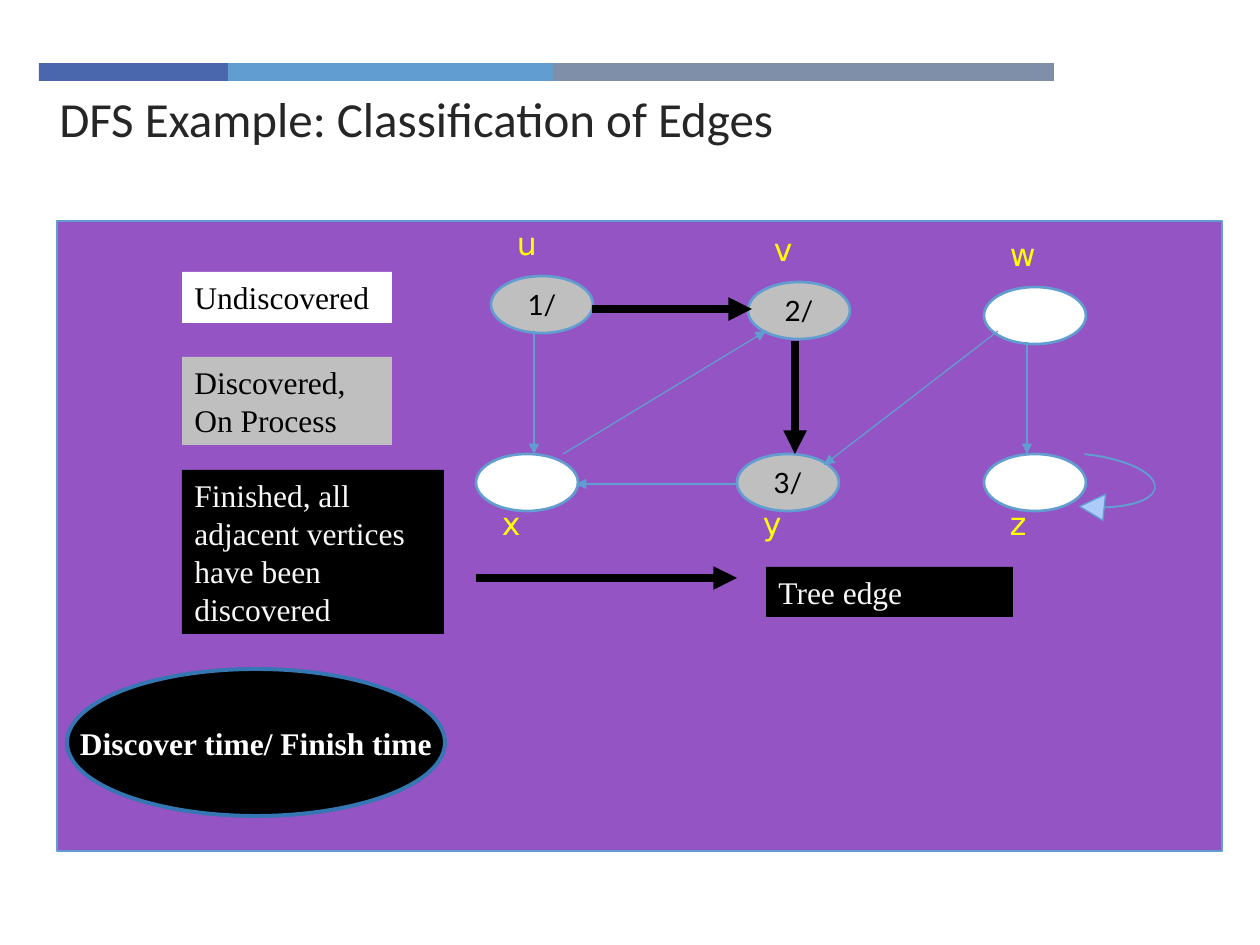
from lxml import etree
from pptx import Presentation
from pptx.dml.color import RGBColor
from pptx.enum.shapes import MSO_CONNECTOR, MSO_SHAPE
from pptx.enum.text import MSO_ANCHOR, PP_ALIGN
from pptx.oxml.ns import qn
from pptx.util import Inches, Pt

RECTANGLE = MSO_SHAPE.RECTANGLE
ELLIPSE = MSO_SHAPE.OVAL
LOOP_ARROW = MSO_SHAPE.CURVED_DOWN_ARROW
STRAIGHT = MSO_CONNECTOR.STRAIGHT
TOP, MIDDLE = MSO_ANCHOR.TOP, MSO_ANCHOR.MIDDLE
LEFT, CENTER = PP_ALIGN.LEFT, PP_ALIGN.CENTER

PIXELS_PER_INCH = 126
BLACK, WHITE, GRAY = "000000", "FFFFFF", "BFBFBF"
BLUE, PURPLE, YELLOW = "629DD1", "9454C3", "FFFF00"
SERIF = "Times New Roman"


def px(length):
    return round(length * Inches(1) / PIXELS_PER_INCH)


def color(value):
    return RGBColor.from_string(value)


class Page:
    node_width, node_height = 102, 57

    def __init__(self, deck):
        self.shapes = deck.slides.add_slide(deck.slide_layouts[6]).shapes

    def shape(self, kind, left, top, width, height, fill, line=None, weight=0.75):
        box = self.shapes.add_shape(kind, px(left), px(top), px(width), px(height))
        box.shadow.inherit = False
        box.fill.solid()
        box.fill.fore_color.rgb = color(fill)
        if line:
            box.line.color.rgb = color(line)
            box.line.width = Pt(weight)
        else:
            box.line.fill.background()
        return box

    def set_text(self, box, text, size, font, ink, align=LEFT, anchor=TOP, wrap=True, bold=False):
        frame = box.text_frame
        frame.text = text
        frame.word_wrap = wrap
        frame.vertical_anchor = anchor
        for para in frame.paragraphs:
            para.alignment = align
            for span in para.runs:
                span.font.size = Pt(size)
                span.font.name = font
                span.font.bold = bold
                span.font.color.rgb = color(ink)

    def text(self, left, top, width, height, text, size, font, ink):
        box = self.shapes.add_textbox(px(left), px(top), px(width), px(height))
        self.set_text(box, text, size, font, ink)
        return box

    def legend(self, left, top, width, height, text, fill, ink):
        box = self.shape(RECTANGLE, left, top, width, height, fill)
        self.set_text(box, text, 18, SERIF, ink)

    def node(self, name, left, top, label_offset, time):
        fill = GRAY if time else WHITE
        box = self.shape(ELLIPSE, left, top, self.node_width, self.node_height, fill, BLUE, 1.5)
        if time:
            self.set_text(box, time, 16, "Lato", BLACK, CENTER, MIDDLE, wrap=False)
        label = self.text(left + 3, top + label_offset, self.node_width, 50,
                          name, 18, "DejaVu Sans", YELLOW)
        label.text_frame.margin_left = px(23)

    def edge(self, start_x, start_y, end_x, end_y, ink=BLUE, weight=0.75):
        arrow = self.shapes.add_connector(STRAIGHT, px(start_x), px(start_y), px(end_x), px(end_y))
        arrow.line.color.rgb = color(ink)
        arrow.line.width = Pt(weight)
        properties = arrow.element.spPr
        etree.SubElement(properties.find(qn("a:ln")), qn("a:tailEnd"), type="triangle")
        etree.SubElement(properties, qn("a:effectLst"))

    def tree_edge(self, *ends):
        self.edge(*ends, ink=BLACK, weight=4.5)

    def loop(self, left, top, width, height, rotation, adjustments):
        arrow = self.shape(LOOP_ARROW, left, top, width, height, "ACCBF9", BLUE)
        arrow.rotation = rotation
        for index, value in enumerate(adjustments):
            arrow.adjustments[index] = value


def main():
    deck = Presentation()
    deck.slide_width, deck.slide_height = Inches(10), Inches(7.5)
    page = Page(deck)

    bar_left = 39
    for width, fill in ((189, "4A66AC"), (325, BLUE), (501, "7F8FA9")):
        page.shape(RECTANGLE, bar_left, 63, width, 18, fill)
        bar_left += width
    page.text(47, 82, 1008, 68, "DFS Example: Classification of Edges", 28, "Calibri", "262626")

    page.shape(RECTANGLE, 57, 221, 1165, 630, PURPLE, BLUE)
    page.loop(1085, 454, 66, 73, 95.8, (0.01, 0.4, 0.37))

    page.tree_edge(476, 578, 737, 578)
    page.legend(766, 567, 247, 50, "Tree edge", BLACK, "F8F8F8")

    above, below = -58, 44
    for node in (
        ("x", 476, 454, below, ""),
        ("z", 984, 454, below, ""),
        ("y", 737, 454, below, "3/"),
        ("w", 984, 287, above, ""),
        ("v", 748, 282, above, "2/"),
        ("u", 491, 276, above, "1/"),
    ):
        page.node(*node)

    page.tree_edge(592, 309, 752, 309)
    page.tree_edge(795, 341, 795, 454)
    for ends in (
        (736, 484, 576, 484),
        (534, 331, 534, 454),
        (1027, 342, 1027, 454),
        (998, 331, 824, 465),
        (563, 454, 766, 331),
    ):
        page.edge(*ends)

    page.legend(182, 272, 210, 51, "Undiscovered", WHITE, BLACK)
    page.legend(182, 357, 210, 88, "Discovered, On Process", GRAY, BLACK)
    page.legend(182, 470, 262, 164, "Finished, all adjacent vertices have been discovered",
                BLACK, "F8F8F8")

    times = page.shape(ELLIPSE, 67, 669, 378, 147, BLACK, "3477B2", 2.25)
    page.set_text(times, "Discover time/ Finish time", 18, SERIF, WHITE, CENTER, MIDDLE,
                  wrap=False, bold=True)

    deck.save("out.pptx")


if __name__ == "__main__":
    main()
